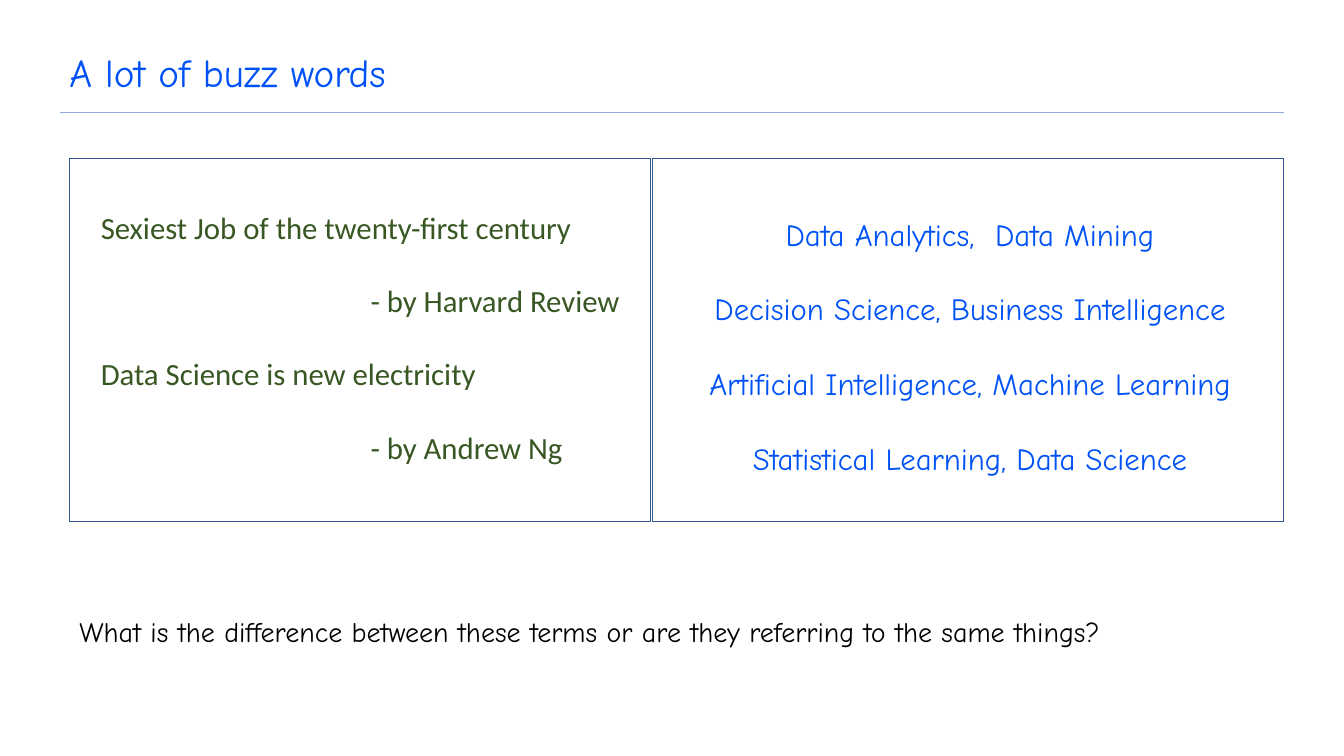
from lxml.etree import SubElement
from pptx import Presentation
from pptx.dml.color import RGBColor
from pptx.enum.shapes import MSO_CONNECTOR, MSO_SHAPE
from pptx.enum.text import MSO_ANCHOR, PP_ALIGN
from pptx.oxml.ns import qn
from pptx.util import Cm, Pt

BLUE, GREEN, BLACK = "0052F6", "385723", "000000"
BORDER, RULE = "325491", "8FAADC"
HAND_FONT, PLAIN_FONT = "Comic Neue", "Calibri"


def color(value):
    return RGBColor.from_string(value)


def add_text(box, lines, font, size, text_color, gap=0, align=PP_ALIGN.LEFT):
    """Add a text box at box (cm) with one paragraph per line, gap points apart."""
    frame = slide.shapes.add_textbox(*map(Cm, box)).text_frame
    frame.word_wrap = True
    for index, line in enumerate(lines):
        paragraph = frame.add_paragraph() if index else frame.paragraphs[0]
        paragraph.text = line
        paragraph.alignment = align
        if index:
            paragraph.space_before = Pt(gap)
        paragraph.font.name = font
        paragraph.font.size = Pt(size)
        paragraph.font.color.rgb = color(text_color)
    return frame


presentation = Presentation()
presentation.slide_width, presentation.slide_height = Cm(33.87), Cm(19.05)
slide = presentation.slides.add_slide(presentation.slide_layouts[6])

# Title and rule
title = add_text((1.5, 0.76, 30.35, 1.78), ["A lot of buzz words"], HAND_FONT, 28, BLUE)
title.vertical_anchor = MSO_ANCHOR.BOTTOM
title.paragraphs[0].line_spacing = 0.9
rule = slide.shapes.add_connector(MSO_CONNECTOR.STRAIGHT, Cm(1.5), Cm(2.84), Cm(32.36), Cm(2.84))
rule.line.color.rgb = color(RULE)
rule.line.width = Pt(0.5)
SubElement(rule._element.spPr, qn("a:effectLst"))

# Two framed panels
for left, width in ((1.75, 14.65), (16.45, 15.9)):
    panel = slide.shapes.add_shape(MSO_SHAPE.RECTANGLE, Cm(left), Cm(4), Cm(width), Cm(9.14))
    panel.shadow.inherit = False
    panel.fill.background()
    panel.line.color.rgb = color(BORDER)
    panel.line.width = Pt(1)

# Quotes, each followed by its indented source
quotes = add_text(
    (2.29, 5.13, 14.02, 6.83),
    [
        "Sexiest Job of the twenty-first century",
        "- by Harvard Review",
        "Data Science is new electricity",
        "- by Andrew Ng",
    ],
    PLAIN_FONT, 22, GREEN, gap=26,
)
for source in quotes.paragraphs[1::2]:
    source._p.get_or_add_pPr().set("marL", str(Cm(6.8)))

# Buzz words
add_text(
    (16.81, 5.3, 15.27, 6.83),
    [
        "Data Analytics,  Data Mining",
        "Decision Science, Business Intelligence",
        "Artificial Intelligence, Machine Learning",
        "Statistical Learning, Data Science",
    ],
    HAND_FONT, 22, BLUE, gap=27, align=PP_ALIGN.CENTER,
)

# Closing question
add_text(
    (1.75, 15.37, 30.58, 1.12),
    ["What is the difference between these terms or are they referring to the same things?"],
    HAND_FONT, 20, BLACK,
)

presentation.save("out.pptx")
